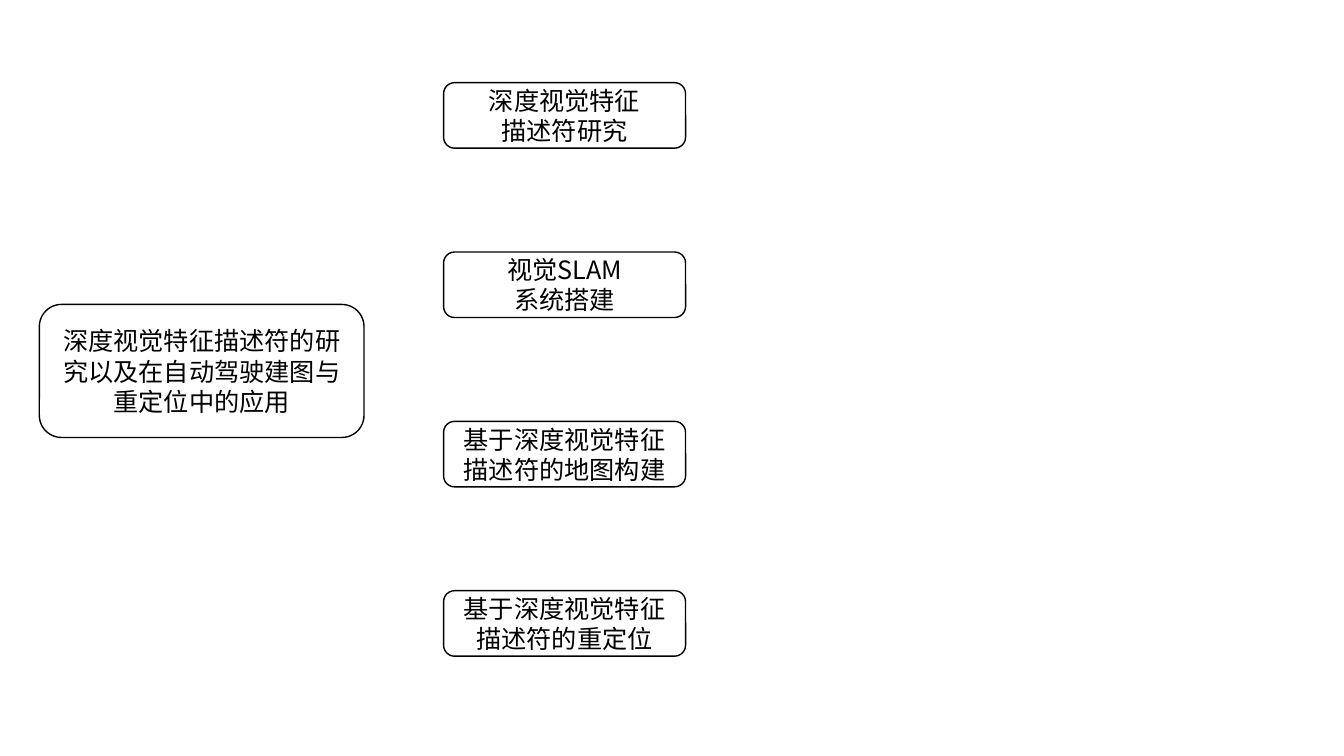
from dataclasses import dataclass

from lxml.etree import SubElement
from pptx import Presentation
from pptx.dml.color import RGBColor
from pptx.enum.shapes import MSO_SHAPE
from pptx.enum.text import MSO_ANCHOR, PP_ALIGN
from pptx.oxml.ns import qn
from pptx.util import Inches, Pt


@dataclass(frozen=True)
class Theme:
    paper: RGBColor = RGBColor(0xFF, 0xFF, 0xFF)
    ink: RGBColor = RGBColor(0, 0, 0)
    font: str = "Noto Sans CJK SC"
    text_size: Pt = Pt(18)
    outline: Pt = Pt(1)


THEME = Theme()

TOPIC = "深度视觉特征描述符的研究以及在自动驾驶建图与重定位中的应用"
BRANCHES = [
    ["深度视觉特征", "描述符研究"],
    ["视觉SLAM", "系统搭建"],
    ["基于深度视觉特征描述符的地图构建"],
    ["基于深度视觉特征描述符的重定位"],
]
BRANCH_TOP, BRANCH_STEP = 0.82, 1.68


def add_run(paragraph, text):
    run = paragraph.add_run()
    run.text = text
    run.font.size = THEME.text_size
    run.font.name = THEME.font
    run.font.color.rgb = THEME.ink
    # East Asian glyphs take their own typeface entry
    SubElement(run.font._element, qn("a:ea")).set("typeface", THEME.font)


def add_node(slide, left, top, width, height, lines):
    node = slide.shapes.add_shape(
        MSO_SHAPE.ROUNDED_RECTANGLE,
        Inches(left), Inches(top), Inches(width), Inches(height))
    node.shadow.inherit = False
    node.fill.solid()
    node.fill.fore_color.rgb = THEME.paper
    node.line.color.rgb = THEME.ink
    node.line.width = THEME.outline

    frame = node.text_frame
    frame.word_wrap = True
    frame.vertical_anchor = MSO_ANCHOR.MIDDLE
    for index, line in enumerate(lines):
        paragraph = frame.add_paragraph() if index else frame.paragraphs[0]
        paragraph.alignment = PP_ALIGN.CENTER
        add_run(paragraph, line)


def main():
    deck = Presentation()
    deck.slide_width, deck.slide_height = Inches(13.33), Inches(7.5)
    slide = deck.slides.add_slide(deck.slide_layouts[6])

    # Research topic
    add_node(slide, 0.39, 3.02, 3.22, 1.32, [TOPIC])

    # Research branches, evenly spaced down one column
    for row, lines in enumerate(BRANCHES):
        add_node(slide, 4.4, BRANCH_TOP + row * BRANCH_STEP, 2.4, 0.65, lines)

    deck.save("out.pptx")


if __name__ == "__main__":
    main()
